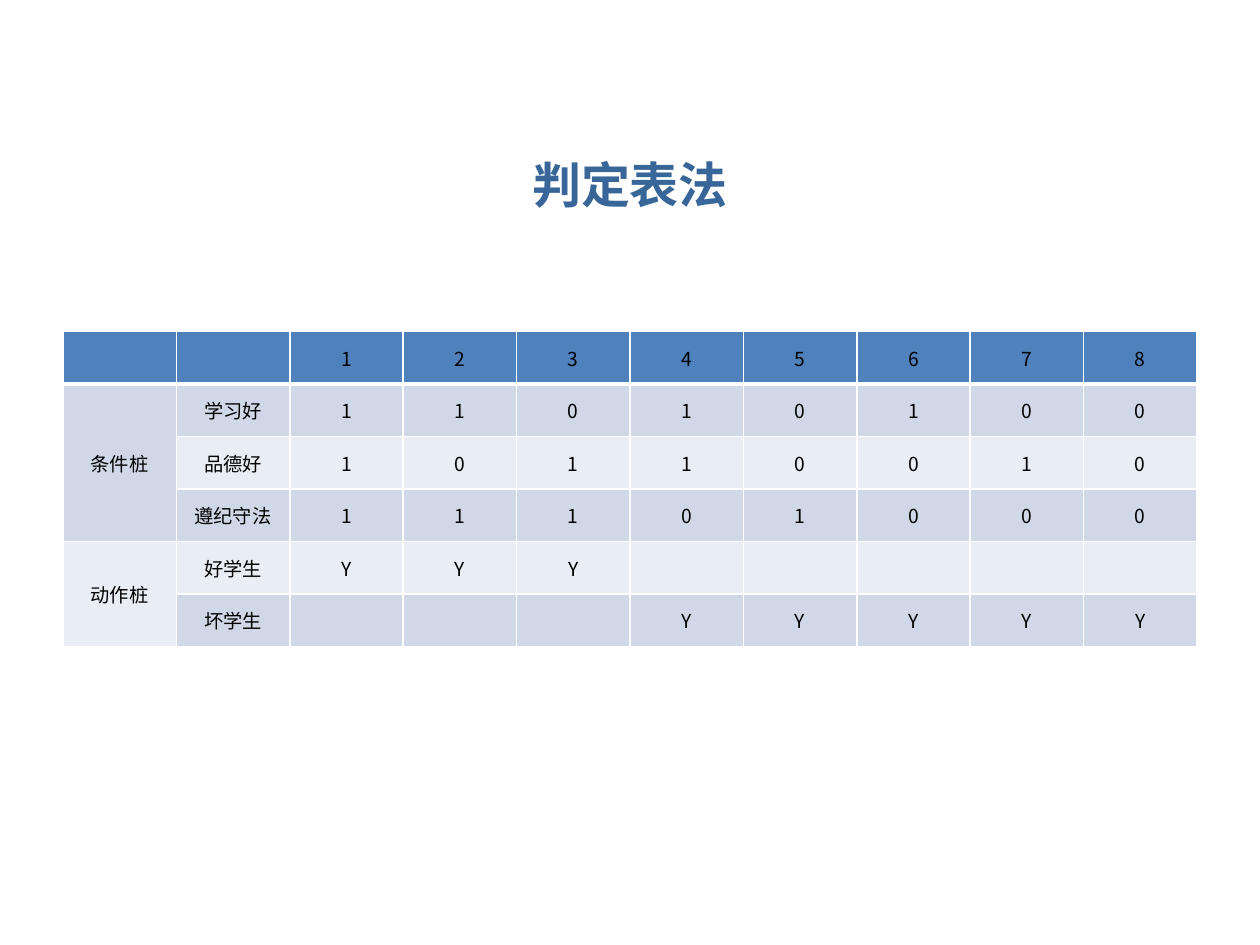
from lxml import etree
from pptx import Presentation, util as u
from pptx.dml.color import RGBColor
from pptx.enum import text
from pptx.oxml.ns import qn

PX = u.Inches(1) // 100
COLORS = {"title": "386698", "head": "4F81BD", "dark": "D0D8E8",
          "light": "E9EDF4", "border": "FFFFFF", "text": "000000"}
TITLE_FONT = {"name": "Lato", "size": u.Pt(28), "bold": True}
CELL_FONT = {"name": "Noto Sans CJK SC", "size": u.Pt(11), "bold": False}
CELL_FORMAT = {"margin_left": 0, "margin_top": 0, "margin_right": 0, "margin_bottom": 0,
               "vertical_anchor": text.MSO_ANCHOR.MIDDLE}
# stub, label, then one mark for each rule
ROWS = [("", "", "12345678"),
        ("条件桩", "学习好", "11010100"),
        ("", "品德好", "10110010"),
        ("", "遵纪守法", "11101000"),
        ("动作桩", "好学生", "YYY     "),
        ("", "坏学生", "   YYYYY")]
STUB_SPANS = [(1, 3), (4, 5)]


def set_attrs(obj, values):
    for name, value in values.items():
        setattr(obj, name, value)


def write(tf, words, font, color):
    p = tf.paragraphs[0]
    p.alignment = text.PP_ALIGN.CENTER
    r = p.add_run()
    r.text = words
    set_attrs(r.font, font)
    r.font.color.rgb = RGBColor.from_string(COLORS[color])
    # East Asian glyphs take their typeface from a:ea
    etree.SubElement(r.font._element, qn("a:ea"), typeface=font["name"])


def add_borders(cell, widths):
    """Draw cell borders; widths maps the sides L, R, T, B to points."""
    tc_pr = cell._tc.get_or_add_tcPr()
    for side, width in widths.items():
        ln = etree.SubElement(tc_pr, qn(f"a:ln{side}"), w=str(u.Pt(width)))
        fill = etree.SubElement(ln, qn("a:solidFill"))
        etree.SubElement(fill, qn("a:srgbClr"), val=COLORS["border"])


def add_title(s, x, y, w, h):
    tf = s.shapes.add_textbox(x * PX, y * PX, w * PX, h * PX).text_frame
    tf.word_wrap = True
    write(tf, "判定表法", TITLE_FONT, "title")


def add_decision_table(s, x, y, w, h):
    n_cols = 2 + len(ROWS[0][2])
    table = s.shapes.add_table(len(ROWS), n_cols, x * PX, y * PX, w * PX, h * PX).table
    for i, (stub, label, marks) in enumerate(ROWS):
        color = "head" if i == 0 else "dark" if i % 2 else "light"
        for j, words in enumerate([stub, label, *marks]):
            cell = table.cell(i, j)
            set_attrs(cell, CELL_FORMAT)
            add_borders(cell, {"L": 1, "R": 1, "T": 1, "B": 1 if i else 3})
            cell.fill.solid()
            cell.fill.fore_color.rgb = RGBColor.from_string(COLORS[color])
            if words.strip():
                write(cell.text_frame, words, CELL_FONT, "text")
    for first, last in STUB_SPANS:
        table.cell(first, 0).merge(table.cell(last, 0))


def main():
    prs = Presentation()
    prs.slide_width, prs.slide_height = 1000 * PX, 750 * PX
    s = prs.slides.add_slide(prs.slide_layouts[6])
    add_title(s, 50, 118, 900, 125)
    add_decision_table(s, 50, 263, 900, 250)
    prs.save("out.pptx")


if __name__ == "__main__":
    main()
